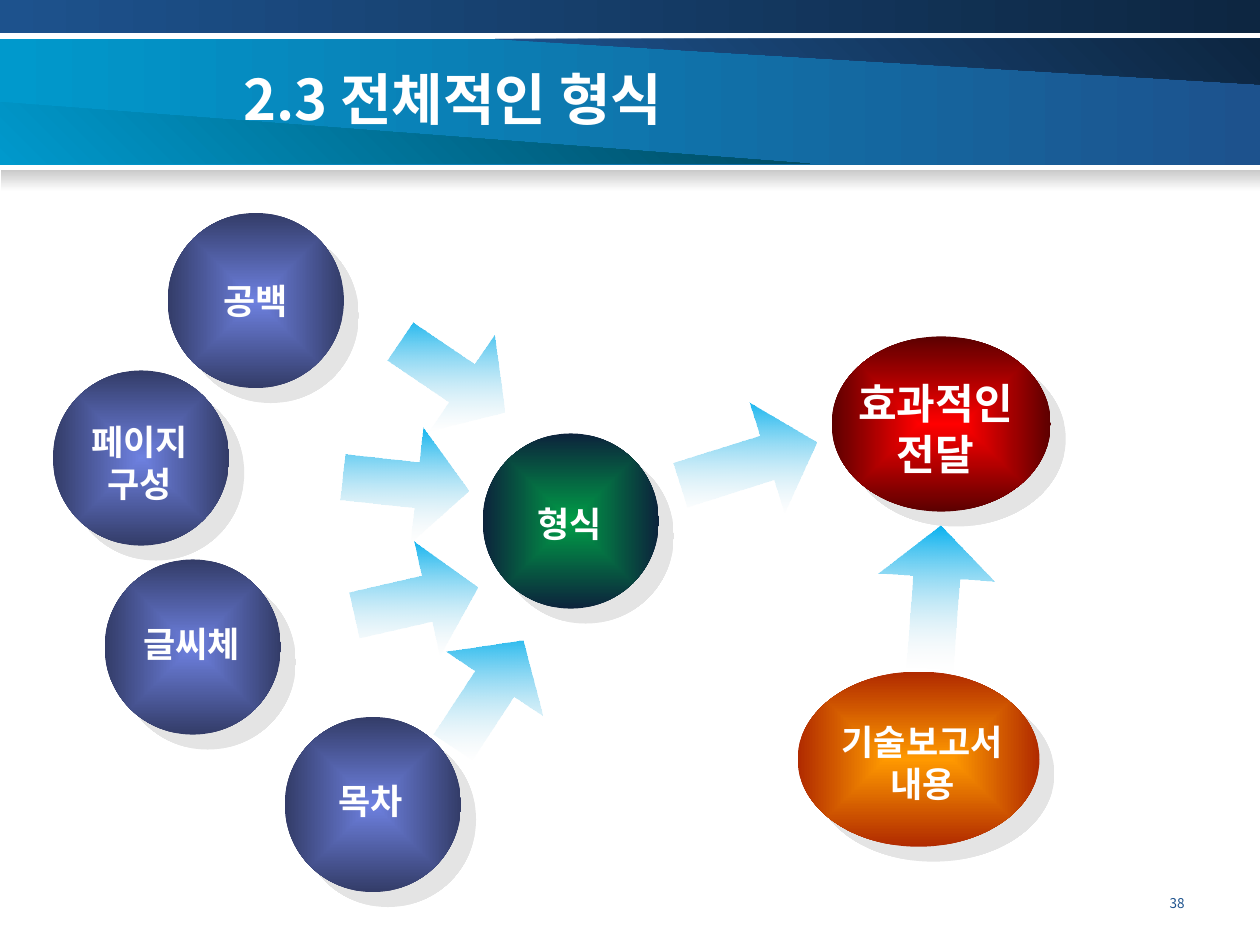
from typing import NamedTuple

from lxml.etree import SubElement
from pptx import Presentation
from pptx.dml.color import RGBColor
from pptx.enum.shapes import MSO_SHAPE as Preset
from pptx.enum.text import MSO_ANCHOR as Anchor, MSO_AUTO_SIZE as AutoSize, PP_ALIGN as Align
from pptx.oxml.ns import qn
from pptx.util import Inches, Pt

FONT = "Noto Sans CJK KR"
WHITE = RGBColor(0xFF, 0xFF, 0xFF)
GRAY = RGBColor(0xCA, 0xCA, 0xCA)
PALE = RGBColor(0xED, 0xED, 0xED)
CYAN = RGBColor(0x00, 0x99, 0xCC)
TEAL = RGBColor(0x00, 0x47, 0x5E)
BLUE = RGBColor(0x1D, 0x52, 0x8D)
NAVY = RGBColor(0x0D, 0x26, 0x41)
SKY = RGBColor(0x00, 0xB0, 0xF0)
VIOLET = RGBColor(0x6E, 0x81, 0xE0)
INDIGO = RGBColor(0x33, 0x3C, 0x68)
GREEN = RGBColor(0x00, 0x9E, 0x47)
MIDNIGHT = RGBColor(0x0C, 0x23, 0x3C)
RED = RGBColor(0xFF, 0x00, 0x00)
MAROON = RGBColor(0x5C, 0x00, 0x00)
ORANGE = RGBColor(0xFF, 0x99, 0x00)
RUST = RGBColor(0xB0, 0x2A, 0x00)


class Box(NamedTuple):
    left: float
    top: float
    width: float
    height: float

    def lengths(self) -> list:
        return [Inches(value) for value in self]


class Band(NamedTuple):
    box: Box
    start: RGBColor
    end: RGBColor
    angle: float


class Wedge(NamedTuple):
    points: list
    start: RGBColor
    end: RGBColor


class Arrow(NamedTuple):
    box: Box
    rotation: float
    angle: float


class Ball(NamedTuple):
    label: str
    box: Box
    label_box: Box
    center: RGBColor = VIOLET
    edge: RGBColor = INDIGO
    size: float = 20


TITLE_BAND = Band(Box(0, 0.31, 10.01, 1), CYAN, BLUE, 0)
EDGE_BANDS = [
    Band(Box(0, 0, 10, 0.26), BLUE, NAVY, 0),
    Band(Box(0.01, 1.35, 9.99, 0.17), GRAY, WHITE, 90),
]
WEDGES = [
    Wedge([(9.82, 0.31), (3.93, 0.31), (10, 0.67), (10, 0.31)], BLUE, NAVY),
    Wedge([(0.19, 1.3), (6.43, 1.3), (0, 0.81), (0, 1.3)], CYAN, TEAL),
]
ARROWS = [
    Arrow(Box(3.13, 2.49, 0.92, 1), 124.1, 326),
    Arrow(Box(2.76, 3.34, 0.92, 1), 96.4, 354),
    Arrow(Box(3.41, 5, 0.92, 1.01), 33.5, 56),
    Arrow(Box(2.84, 4.27, 0.92, 1), 77.3, 13),
    Arrow(Box(5.48, 3.11, 0.92, 1.13), 72.5, 18),
    Arrow(Box(6.96, 4.17, 0.92, 1.13), 4.3, 86),
]
BALLS = [
    Ball("형식", Box(3.83, 3.44, 1.4, 1.39), Box(4.15, 3.94, 0.74, 0.44), GREEN, MIDNIGHT),
    Ball("글씨체", Box(0.83, 4.44, 1.4, 1.39), Box(1.02, 4.89, 1, 0.44)),
    Ball("효과적인\n전달", Box(6.6, 2.67, 1.74, 1.39), Box(6.68, 2.95, 1.49, 0.9), RED, MAROON, 24),
    Ball("기술보고서\n내용", Box(6.33, 5.33, 1.92, 1.39), Box(6.55, 5.67, 1.54, 0.77), ORANGE, RUST),
    Ball("목차", Box(2.26, 5.69, 1.4, 1.39), Box(2.57, 6.14, 0.74, 0.44)),
    Ball("페이지\n구성", Box(0.42, 2.94, 1.4, 1.39), Box(0.61, 3.29, 1, 0.77)),
    Ball("공백", Box(1.33, 1.69, 1.4, 1.39), Box(1.66, 2.17, 0.74, 0.44)),
]


def paint(shape, start: RGBColor, end: RGBColor, angle: float = 0) -> None:
    shape.shadow.inherit = False
    shape.line.fill.background()
    shape.fill.gradient()
    shape.fill.gradient_angle = (360 - angle) % 360
    for stop, color, position in zip(shape.fill.gradient_stops, (start, end), (0, 1)):
        stop.color.rgb = color
        stop.position = position


def format_text(frame, size: float, color: RGBColor, align: Align, bold: bool = True) -> None:
    for paragraph in frame.paragraphs:
        paragraph.alignment = align
        for run in paragraph.runs:
            font = run.font
            font.name, font.size, font.bold = FONT, Pt(size), bold
            font.color.rgb = color
            SubElement(run._r.get_or_add_rPr(), qn("a:ea"), typeface=FONT)


def draw_band(slide, band: Band) -> None:
    paint(slide.shapes.add_shape(Preset.RECTANGLE, *band.box.lengths()), band.start, band.end, band.angle)


def draw_wedge(slide, wedge: Wedge) -> None:
    first, *rest = [(Inches(x), Inches(y)) for x, y in wedge.points]
    builder = slide.shapes.build_freeform(*first)
    builder.add_line_segments(rest, close=True)
    paint(builder.convert_to_shape(), wedge.start, wedge.end, 315)


def draw_arrow(slide, arrow: Arrow) -> None:
    shape = slide.shapes.add_shape(Preset.UP_ARROW, *arrow.box.lengths())
    shape.rotation = arrow.rotation
    shape.adjustments[0], shape.adjustments[1] = 0.4, 0.45
    paint(shape, SKY, PALE, arrow.angle)
    tip_color = shape._element.spPr.findall(".//" + qn("a:srgbClr"))[-1]
    SubElement(tip_color, qn("a:alpha"), val="0")


def draw_ball(slide, ball: Ball) -> None:
    shape = slide.shapes.add_shape(Preset.OVAL, *ball.box.lengths())
    paint(shape, ball.center, ball.edge)
    properties = shape._element.spPr
    gradient = properties.find(qn("a:gradFill"))
    gradient.remove(gradient.find(qn("a:lin")))
    path = SubElement(gradient, qn("a:path"), path="rect")
    SubElement(path, qn("a:fillToRect"), {side: "50000" for side in "ltrb"})
    shadow = SubElement(properties.find(qn("a:effectLst")), qn("a:outerShdw"),
                        dist=str(Pt(12.1)), dir="2700000", algn="ctr", rotWithShape="0")
    shadow_color = SubElement(shadow, qn("a:srgbClr"), val=str(GRAY))
    SubElement(shadow_color, qn("a:alpha"), val="50000")

    frame = slide.shapes.add_textbox(*ball.label_box.lengths()).text_frame
    frame.word_wrap = False
    frame.auto_size = AutoSize.SHAPE_TO_FIT_TEXT
    frame.text = ball.label
    format_text(frame, ball.size, WHITE, Align.CENTER)


def place_title(slide) -> None:
    title = slide.shapes.title
    title.left, title.top, title.width, title.height = Box(1.83, 0.3, 7.25, 0.95).lengths()
    title.text_frame.text = "2.3 전체적인 형식"
    title.text_frame.vertical_anchor = Anchor.MIDDLE
    format_text(title.text_frame, 32, WHITE, Align.LEFT)
    slide.shapes._spTree.append(title._element)


def draw_page_number(slide) -> None:
    frame = slide.shapes.add_textbox(*Box(7.17, 7.08, 2.33, 0.27).lengths()).text_frame
    frame.word_wrap = True
    frame.text = "38"
    frame.paragraphs[0].line_spacing = 0.8
    format_text(frame, 7.7, BLUE, Align.RIGHT, bold=False)


def main() -> None:
    deck = Presentation()
    deck.slide_width, deck.slide_height = Inches(10), Inches(7.5)
    slide = deck.slides.add_slide(deck.slide_layouts[5])
    draw_band(slide, TITLE_BAND)
    for wedge in WEDGES:
        draw_wedge(slide, wedge)
    for band in EDGE_BANDS:
        draw_band(slide, band)
    place_title(slide)
    for arrow in ARROWS:
        draw_arrow(slide, arrow)
    for ball in BALLS:
        draw_ball(slide, ball)
    draw_page_number(slide)
    deck.save("out.pptx")


if __name__ == "__main__":
    main()
